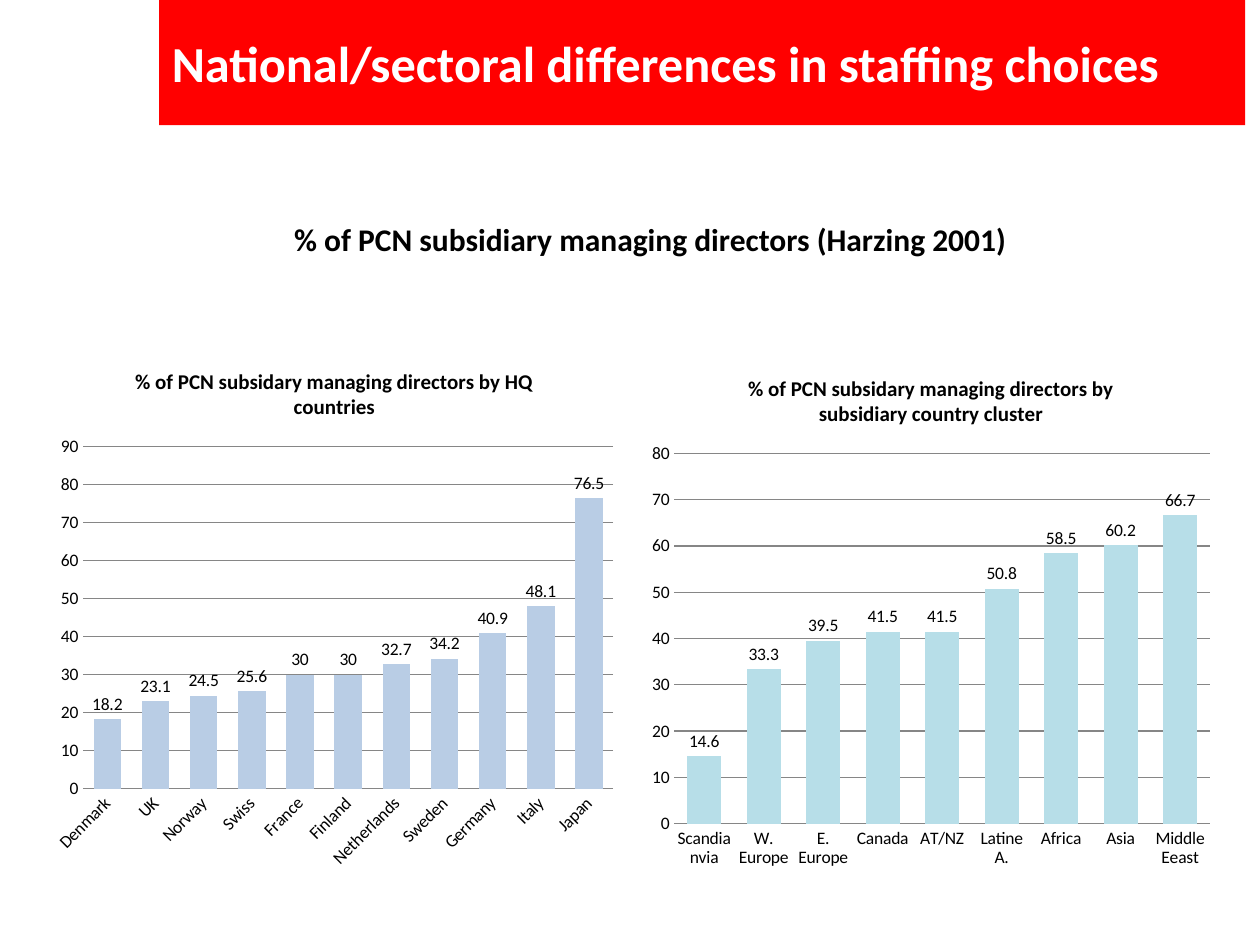
"""Build a slide with two column charts on subsidiary staffing by country."""
from pptx import Presentation
from pptx import util as u
from pptx.chart import data as d
from pptx.dml.color import RGBColor
from pptx.enum import chart as ch, text as tx

RED = RGBColor(0xFF, 0x00, 0x00)
WHITE = RGBColor(0xFF, 0xFF, 0xFF)
BLACK = RGBColor(0x00, 0x00, 0x00)
GREY = RGBColor(0x86, 0x86, 0x86)
BLUE = RGBColor(0xB9, 0xCD, 0xE5)
AQUA = RGBColor(0xB7, 0xDE, 0xE8)
FACE = "Calibri"

HEAD = "National/sectoral differences in staffing choices"
LEAD = "% of PCN subsidiary managing directors (Harzing 2001)"
CHARTS = [
    {
        "title": "% of PCN subsidary managing directors by HQ countries",
        "box": (25, 198, 332, 304),
        "fill": BLUE,
        "top": 90,
        "data": [
            ("Denmark", 18.2), ("UK", 23.1), ("Norway", 24.5), ("Swiss", 25.6),
            ("France", 30), ("Finland", 30), ("Netherlands", 32.7),
            ("Sweden", 34.2), ("Germany", 40.9), ("Italy", 48.1), ("Japan", 76.5),
        ],
    },
    {
        "title": "% of PCN subsidary managing directors by subsidiary country cluster",
        "box": (366, 202, 332, 300),
        "fill": AQUA,
        "top": 80,
        "data": [
            ("Scandianvia", 14.6), ("W. Europe", 33.3), ("E. Europe", 39.5),
            ("Canada", 41.5), ("AT/NZ", 41.5), ("Latine A.", 50.8),
            ("Africa", 58.5), ("Asia", 60.2), ("Middle Eeast", 66.7),
        ],
    },
]


def style(font, size, color=BLACK, bold=False):
    font.name, font.size, font.bold = FACE, u.Pt(size), bold
    font.color.rgb = color


def write(frame, words, size, color):
    frame.word_wrap = True
    frame.text = words
    para = frame.paragraphs[0]
    para.alignment = tx.PP_ALIGN.LEFT
    style(para.runs[0].font, size, color, True)


def draw(slide, item):
    data = d.CategoryChartData()
    names, vals = zip(*item["data"])
    data.categories = names
    data.add_series("Series 1", vals)
    box = [u.Pt(n) for n in item["box"]]
    kind = ch.XL_CHART_TYPE.COLUMN_CLUSTERED
    chart = slide.shapes.add_chart(kind, *box, data).chart
    style(chart.font, 10)
    chart.has_legend = False
    chart.has_title = True
    frame = chart.chart_title.text_frame
    frame.text = item["title"]
    style(frame.paragraphs[0].runs[0].font, 12, bold=True)
    chart.chart_title.include_in_layout = False

    plot = chart.plots[0]
    plot.gap_width = 75
    plot.vary_by_categories = False
    plot.has_data_labels = True
    plot.data_labels.show_value = True
    plot.data_labels.position = ch.XL_LABEL_POSITION.OUTSIDE_END
    style(plot.data_labels.font, 10)
    fill = plot.series[0].format.fill
    fill.solid()
    fill.fore_color.rgb = item["fill"]

    cat, val = chart.category_axis, chart.value_axis
    for axis in (cat, val):
        axis.major_tick_mark = ch.XL_TICK_MARK.NONE
        axis.minor_tick_mark = ch.XL_TICK_MARK.NONE
        style(axis.tick_labels.font, 10)
    val.minimum_scale, val.maximum_scale, val.major_unit = 0, item["top"], 10
    val.format.line.fill.background()
    val.has_major_gridlines = True
    for line in (cat.format.line, val.major_gridlines.format.line):
        line.color.rgb = GREY
        line.width = u.Pt(0.75)


def main():
    deck = Presentation()
    deck.slide_width, deck.slide_height = u.Pt(720), u.Pt(540)
    slide = deck.slides.add_slide(deck.slide_layouts[5])

    for item in CHARTS:
        draw(slide, item)

    lead = slide.shapes.add_textbox(u.Pt(161), u.Pt(122), u.Pt(559), u.Pt(51))
    write(lead.text_frame, LEAD, 18, BLACK)

    head = slide.shapes.title
    head.left, head.top = u.Pt(91), u.Pt(0)
    head.width, head.height = u.Pt(620.5), u.Pt(71.5)
    head.fill.solid()
    head.fill.fore_color.rgb = RED
    head.text_frame.auto_size = tx.MSO_AUTO_SIZE.NONE
    head.text_frame.vertical_anchor = tx.MSO_ANCHOR.MIDDLE
    write(head.text_frame, HEAD, 28.8, WHITE)

    deck.save("out.pptx")


if __name__ == "__main__":
    main()
